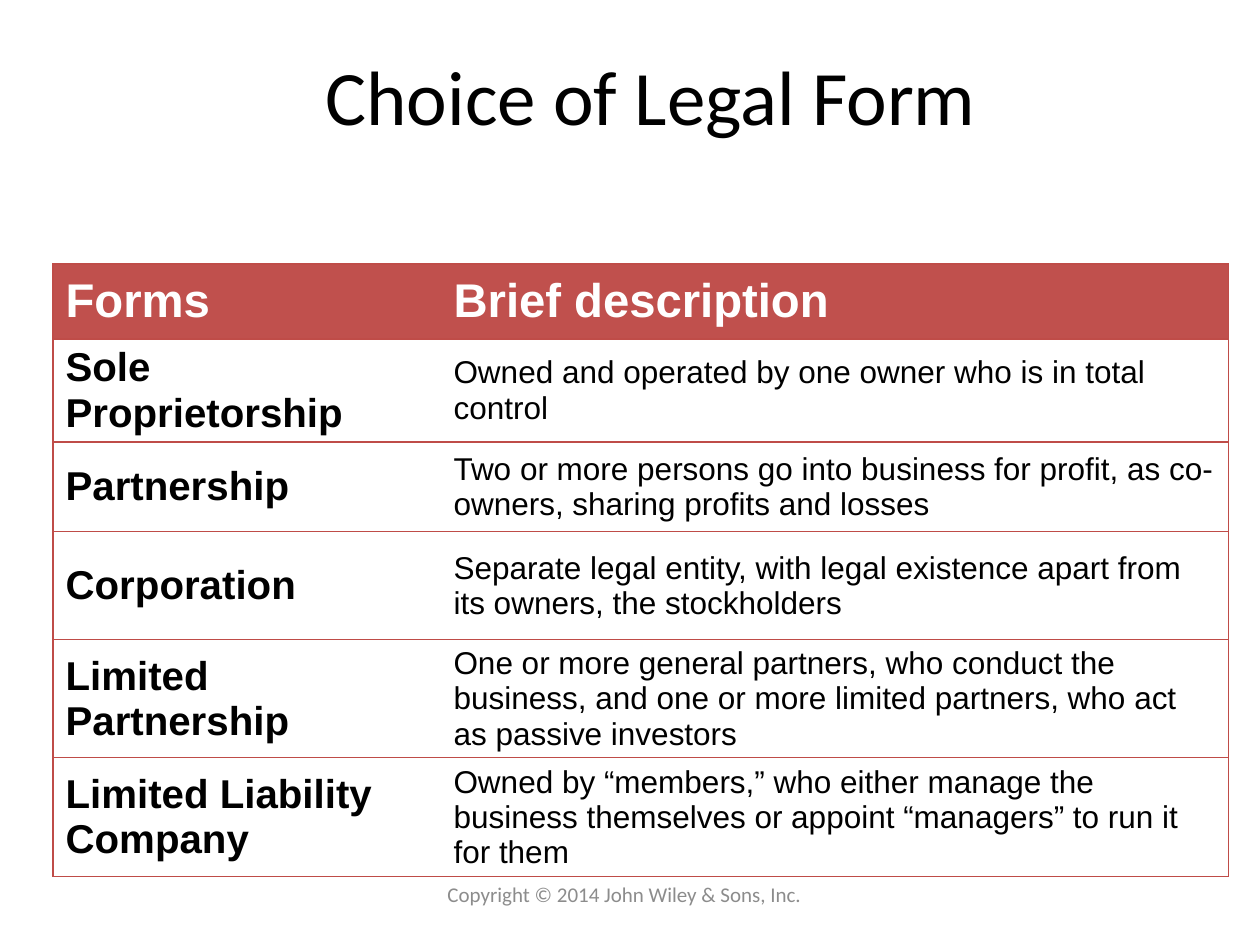
from lxml.etree import SubElement
from pptx import Presentation
from pptx.dml.color import RGBColor
from pptx.enum.text import MSO_ANCHOR, PP_ALIGN
from pptx.oxml.ns import qn
from pptx.util import Pt

PX = 914400 // 126
RED = "BF4C48"
BLACK = "000000"
WHITE = "FFFFFF"


def style_text(frame, text, size, color, face, bold=False, align=PP_ALIGN.LEFT):
    frame.word_wrap = True
    paragraph = frame.paragraphs[0]
    paragraph.text = text
    paragraph.alignment = align
    font = paragraph.font
    font.name, font.size, font.bold = face, Pt(size), bold
    font.color.rgb = RGBColor.from_string(color)


def set_border(cell, side, color):
    """Draw one side of a cell, or clear it when color is None."""
    line = SubElement(cell._tc.get_or_add_tcPr(), qn(f"a:ln{side}"), w=str(Pt(0.75)))
    if color:
        SubElement(SubElement(line, qn("a:solidFill")), qn("a:srgbClr"), val=color)
    else:
        SubElement(line, qn("a:noFill"))


prs = Presentation()
prs.slide_width, prs.slide_height = 1260 * PX, 945 * PX
slide = prs.slides.add_slide(prs.slide_layouts[6])

legal_forms = [
    ("Forms", "Brief description"),
    ("Sole Proprietorship", "Owned and operated by one owner who is in total control"),
    ("Partnership", "Two or more persons go into business for profit, as co-owners, "
     "sharing profits and losses"),
    ("Corporation", "Separate legal entity, with legal existence apart from its owners, "
     "the stockholders"),
    ("Limited Partnership", "One or more general partners, who conduct the business, and one "
     "or more limited partners, who act as passive investors"),
    ("Limited Liability Company", "Owned by “members,” who either manage the business "
     "themselves or appoint “managers” to run it for them"),
]
row_heights = [75, 103, 90, 108, 118, 119]
column_widths = [388, 788]

title = slide.shapes.add_textbox(84 * PX, 21 * PX, 1134 * PX, 147 * PX)
table = slide.shapes.add_table(
    len(legal_forms), 2, 53 * PX, 264 * PX, sum(column_widths) * PX, sum(row_heights) * PX
).table
copyright_line = slide.shapes.add_textbox(346 * PX, 861 * PX, 557 * PX, 66 * PX)

for box, text, size, color in [
    (title, "Choice of Legal Form", 44, BLACK),
    (copyright_line, "Copyright © 2014 John Wiley & Sons, Inc.", 12, "8C8C8C"),
]:
    box.text_frame.vertical_anchor = MSO_ANCHOR.MIDDLE
    style_text(box.text_frame, text, size, color, "Calibri", align=PP_ALIGN.CENTER)

for column, width in zip(table.columns, column_widths):
    column.width = width * PX

for r, (entry, height) in enumerate(zip(legal_forms, row_heights)):
    table.rows[r].height = height * PX
    for c, text in enumerate(entry):
        cell = table.cell(r, c)
        cell.vertical_anchor = MSO_ANCHOR.MIDDLE
        cell.margin_top = cell.margin_bottom = PX
        set_border(cell, "L", RED if c == 0 else None)
        set_border(cell, "R", RED if c == 1 else None)
        set_border(cell, "T", RED)
        set_border(cell, "B", RED)
        cell.fill.solid()
        cell.fill.fore_color.rgb = RGBColor.from_string("C0504D" if r == 0 else WHITE)
        size = 27 if r == 0 else (23, 18)[c]
        style_text(cell.text_frame, text, size, WHITE if r == 0 else BLACK, "Arial",
                   bold=r == 0 or c == 0)

prs.save("out.pptx")
